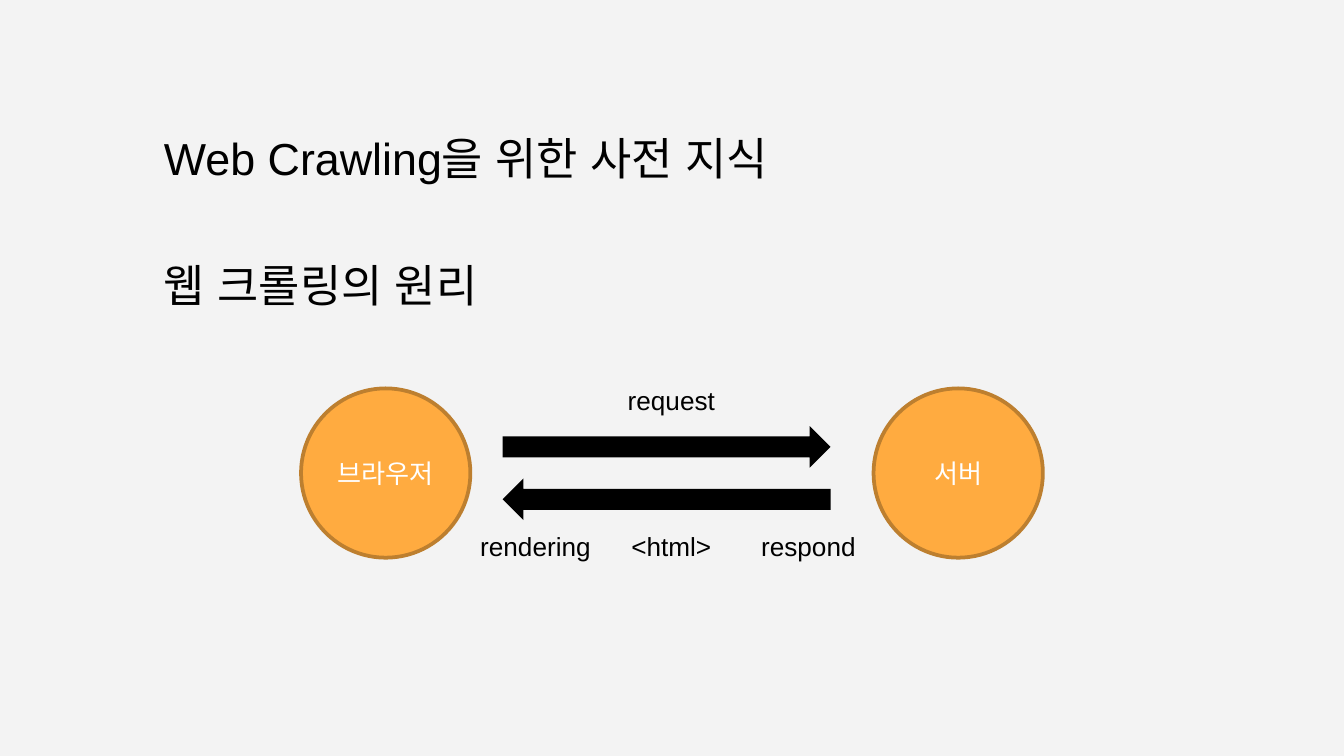
from lxml import etree
from pptx import Presentation
from pptx.dml.color import RGBColor
from pptx.enum.shapes import MSO_SHAPE
from pptx.enum.text import MSO_ANCHOR, MSO_AUTO_SIZE, PP_ALIGN
from pptx.oxml.ns import qn
from pptx.util import Inches, Pt

OVAL, ARROW = MSO_SHAPE.OVAL, MSO_SHAPE.RIGHT_ARROW
TOP, MIDDLE = MSO_ANCHOR.TOP, MSO_ANCHOR.MIDDLE
LEFT, CENTER = PP_ALIGN.LEFT, PP_ALIGN.CENTER
FIXED = MSO_AUTO_SIZE.NONE
COLORS = {"back": "F3F3F3", "ink": "000000", "node": "FFAB40", "rim": "BD7F2F", "light": "FFFFFF"}
FONT = "Arial"
COLUMNS, ROWS = 100, 56.25


def rgb(name):
    return RGBColor.from_string(COLORS[name])


def write(frame, text, size=14, color="ink", align=CENTER, anchor=TOP, wrap=True):
    frame.auto_size = FIXED
    frame.word_wrap = wrap
    frame.vertical_anchor = anchor
    paragraph = frame.paragraphs[0]
    paragraph.alignment = align
    paragraph.space_before = Pt(0)
    run = paragraph.add_run()
    run.text = text
    run.font.name, run.font.size = FONT, Pt(size)
    run.font.color.rgb = rgb(color)
    east_asian = etree.SubElement(run.font._element, qn("a:ea"))
    east_asian.set("typeface", FONT)
    return paragraph


class CrawlingSlide:
    """Draws the parts of the slide on a grid of 100 columns by 56.25 rows."""

    def __init__(self, deck):
        self.column = deck.slide_width / COLUMNS
        self.row = deck.slide_height / ROWS
        self.slide = deck.slides.add_slide(deck.slide_layouts[1])
        self.slide.background.fill.solid()
        self.slide.background.fill.fore_color.rgb = rgb("back")
        self.diagram = self.slide.shapes.add_group_shape()

    def cells(self, left, top, width, height):
        return (round(left * self.column), round(top * self.row),
                round(width * self.column), round(height * self.row))

    def heading(self, index, text, *area):
        holder = self.slide.placeholders[index]
        holder.left, holder.top, holder.width, holder.height = self.cells(*area)
        paragraph = write(holder.text_frame, text, size=24, align=LEFT)
        properties = paragraph._p.get_or_add_pPr()
        properties.set("marL", "0")
        properties.set("indent", "0")
        etree.SubElement(properties, qn("a:buNone"))

    def shape(self, preset, area, fill):
        shape = self.diagram.shapes.add_shape(preset, *self.cells(*area))
        shape.shadow.inherit = False
        shape.fill.solid()
        shape.fill.fore_color.rgb = rgb(fill)
        return shape

    def node(self, text, left):
        circle = self.shape(OVAL, (left, 28.9, 12.6, 12.6), "node")
        circle.line.color.rgb = rgb("rim")
        circle.line.width = Pt(2)
        write(circle.text_frame, text, color="light", anchor=MIDDLE, wrap=False)

    def arrow(self, top, rotation):
        arrow = self.shape(ARROW, (37.4, top, 24.4, 3.1), "ink")
        arrow.line.fill.background()
        arrow.rotation = rotation

    def label(self, text, left, top):
        box = self.diagram.shapes.add_textbox(*self.cells(left, top, 10.5, 3.4))
        write(box.text_frame, text)


def main():
    deck = Presentation()
    deck.slide_width, deck.slide_height = Inches(10), Inches(10) * 9 // 16
    page = CrawlingSlide(deck)
    page.heading(0, "Web Crawling을 위한 사전 지식", 11.2, 9.2, 63, 5)
    page.heading(1, "웹 크롤링의 원리", 11.2, 18.7, 79.8, 5)
    for name, left in (("브라우저", 22.4), ("서버", 65)):
        page.node(name, left)
    for top, rotation in ((31.7, 0), (35.6, 180)):
        page.arrow(top, rotation)
    page.label("request", 44.7, 28.1)
    for step, left in (("respond", 54.9), ("rendering", 34.6), ("<html>", 44.7)):
        page.label(step, left, 39)
    deck.save("out.pptx")


if __name__ == "__main__":
    main()
